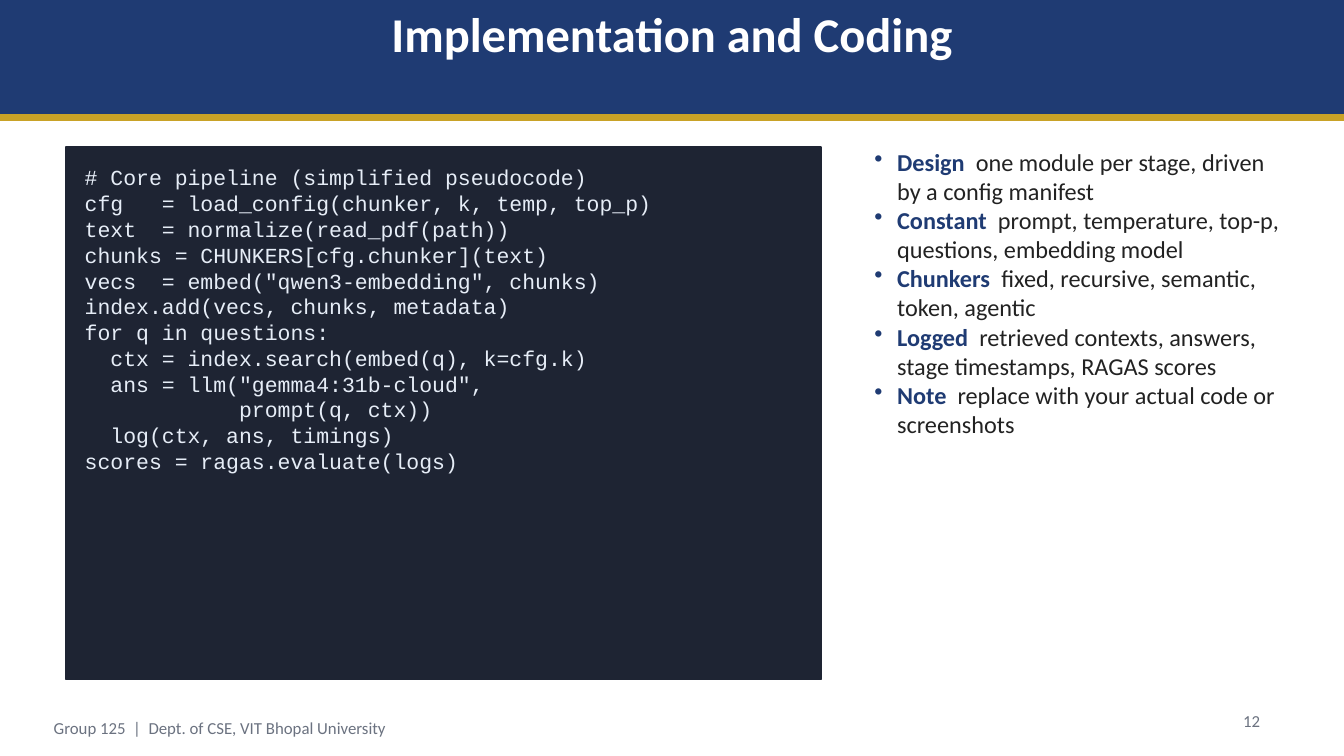
from dataclasses import dataclass

import pptx
import pptx.dml.color
import pptx.enum.shapes
import pptx.enum.text
import pptx.oxml.ns
import pptx.shapes.autoshape
import pptx.slide
import pptx.text.text
import pptx.util
from lxml import etree

Cm = pptx.util.Cm
Pt = pptx.util.Pt
RGBColor = pptx.dml.color.RGBColor
Align = pptx.enum.text.PP_ALIGN
Anchor = pptx.enum.text.MSO_ANCHOR

NAVY = RGBColor(0x1F, 0x3B, 0x73)
GOLD = RGBColor(0xC9, 0xA2, 0x27)
DARK = RGBColor(0x1E, 0x24, 0x33)
PALE = RGBColor(0xE6, 0xED, 0xF7)
GREY = RGBColor(0x6B, 0x72, 0x80)
INK = RGBColor(0x22, 0x22, 0x22)
WHITE = RGBColor(0xFF, 0xFF, 0xFF)


@dataclass(frozen=True)
class Box:
    left: float
    top: float
    width: float
    height: float


@dataclass(frozen=True)
class Style:
    size: float
    color: RGBColor
    font: str = "Calibri"
    bold: bool = False


@dataclass(frozen=True)
class Panel:
    box: Box
    fill: RGBColor
    line: float = 0


@dataclass(frozen=True)
class Point:
    term: str
    text: str


PANELS = [
    Panel(Box(0, 0, 50.8, 4.32), NAVY),
    Panel(Box(0, 4.32, 50.8, 0.25), GOLD),
    Panel(Box(2.51, 5.56, 28.52, 20.13), DARK, 2),
]

CODE = """# Core pipeline (simplified pseudocode)
cfg   = load_config(chunker, k, temp, top_p)
text  = normalize(read_pdf(path))
chunks = CHUNKERS[cfg.chunker](text)
vecs  = embed("qwen3-embedding", chunks)
index.add(vecs, chunks, metadata)
for q in questions:
  ctx = index.search(embed(q), k=cfg.k)
  ans = llm("gemma4:31b-cloud",
            prompt(q, ctx))
  log(ctx, ans, timings)
scores = ragas.evaluate(logs)"""

POINTS = [
    Point("Design", "one module per stage, driven by a config manifest"),
    Point("Constant", "prompt, temperature, top-p, questions, embedding model"),
    Point("Chunkers", "fixed, recursive, semantic, token, agentic"),
    Point("Logged", "retrieved contexts, answers, stage timestamps, RAGAS scores"),
    Point("Note", "replace with your actual code or screenshots"),
]

TITLE = Style(52, WHITE, bold=True)
MONO = Style(23, PALE, "Courier New")
TERM = Style(26, NAVY, bold=True)
BODY = Style(26, INK)
FOOT = Style(18, GREY)


def spot(box: Box) -> list[int]:
    return [Cm(box.left), Cm(box.top), Cm(box.width), Cm(box.height)]


def draw_panel(slide: pptx.slide.Slide, panel: Panel) -> None:
    kind = pptx.enum.shapes.MSO_SHAPE.RECTANGLE
    shape = slide.shapes.add_shape(kind, *spot(panel.box))
    shape.shadow.inherit = False
    shape.fill.solid()
    shape.fill.fore_color.rgb = panel.fill
    if panel.line:
        shape.line.color.rgb = panel.fill
        shape.line.width = Pt(panel.line)
    else:
        shape.line.fill.background()


def set_frame(frame: pptx.text.text.TextFrame, anchor: Anchor = Anchor.TOP) -> None:
    frame.margin_left = frame.margin_top = 0
    frame.margin_right = frame.margin_bottom = 0
    frame.word_wrap = True
    frame.auto_size = pptx.enum.text.MSO_AUTO_SIZE.NONE
    frame.vertical_anchor = anchor


def set_run(run: pptx.text.text._Run, style: Style) -> None:
    run.font.name = style.font
    run.font.size = Pt(style.size)
    run.font.bold = style.bold
    run.font.color.rgb = style.color


def set_text(frame: pptx.text.text.TextFrame, text: str, style: Style) -> None:
    frame.text = text
    for para in frame.paragraphs:
        para.line_spacing = Pt(style.size * 1.2)
        for run in para.runs:
            set_run(run, style)


def add_text(slide: pptx.slide.Slide, box: Box, text: str, style: Style,
             anchor: Anchor = Anchor.TOP) -> None:
    frame = slide.shapes.add_textbox(*spot(box)).text_frame
    set_frame(frame, anchor)
    set_text(frame, text, style)


def add_title(slide: pptx.slide.Slide, box: Box, text: str) -> None:
    title = slide.shapes.title
    title.left, title.top, title.width, title.height = spot(box)
    set_frame(title.text_frame)
    set_text(title.text_frame, text, TITLE)
    title.text_frame.paragraphs[0].alignment = Align.CENTER
    title.element.getparent().append(title.element)


def add_points(slide: pptx.slide.Slide, box: Box, points: list[Point]) -> None:
    frame = slide.shapes.add_textbox(*spot(box)).text_frame
    set_frame(frame)
    for index, point in enumerate(points):
        para = frame.add_paragraph() if index else frame.paragraphs[0]
        para.level = 1
        para.line_spacing = Pt(BODY.size * 1.2)
        props = para._p.get_or_add_pPr()
        props.set("marL", str(Cm(1.75)))
        props.set("indent", str(Cm(-0.86)))
        mark = etree.SubElement(props, pptx.oxml.ns.qn("a:buChar"))
        mark.set("char", "•")
        for text, style in ((f"{point.term} ", TERM), (f" {point.text}", BODY)):
            run = para.add_run()
            run.text = text
            set_run(run, style)


def main() -> None:
    deck = pptx.Presentation()
    deck.slide_width, deck.slide_height = Cm(50.8), Cm(28.58)
    slide = deck.slides.add_slide(deck.slide_layouts.get_by_name("Title Only"))
    for panel in PANELS:
        draw_panel(slide, panel)
    add_title(slide, Box(2.03, 0.15, 46.74, 3.66), "Implementation and Coding")
    add_text(slide, Box(3.2, 6.22, 27.15, 19.05), CODE, MONO)
    add_points(slide, Box(32.16, 5.56, 16.48, 19.69), POINTS)
    add_text(slide, Box(2.03, 26.85, 30.48, 1.35),
             "Group 125  |  Dept. of CSE, VIT Bhopal University", FOOT, Anchor.MIDDLE)
    add_text(slide, Box(46.99, 26.85, 2.03, 1.12), "12", FOOT)
    deck.save("out.pptx")


if __name__ == "__main__":
    main()
